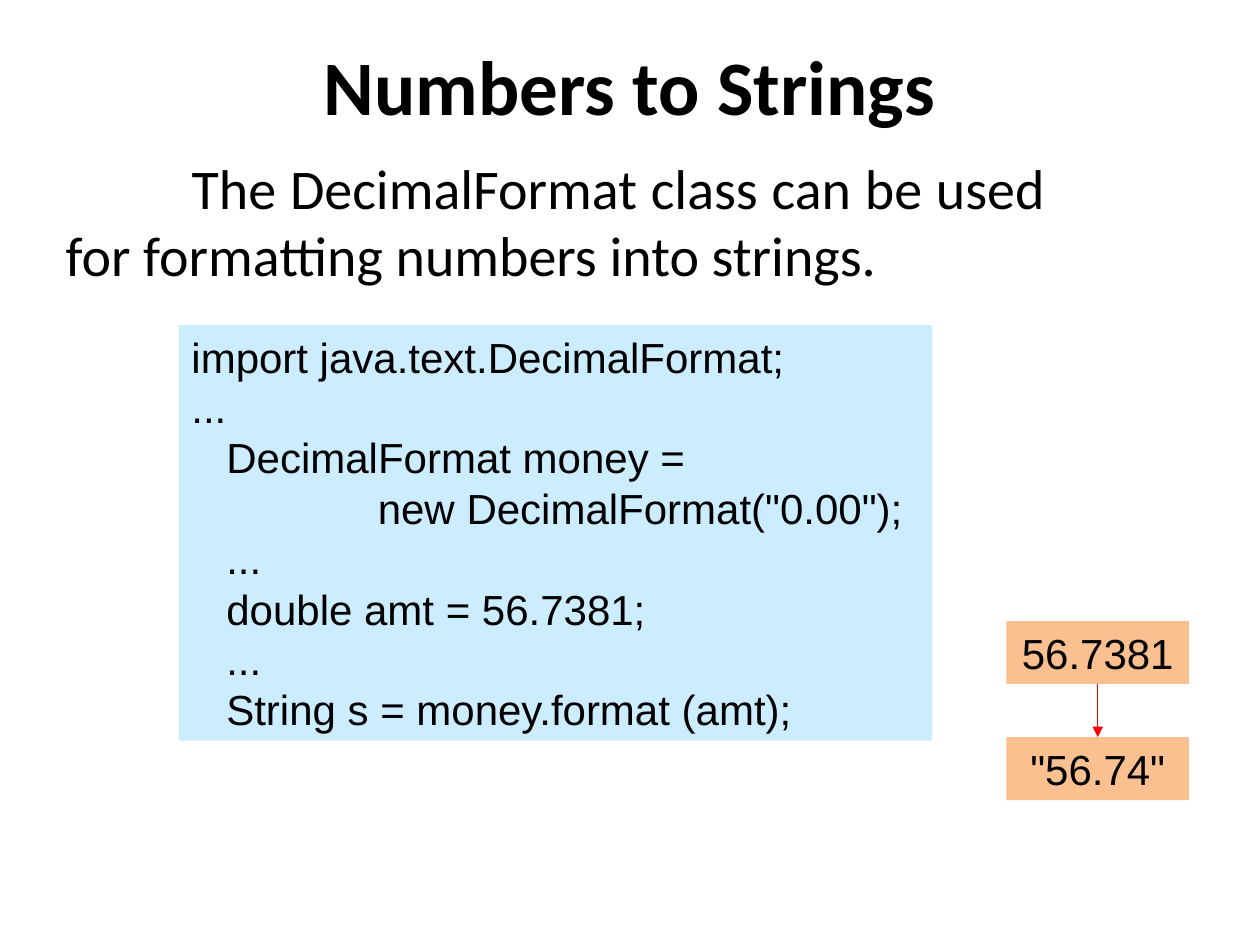
from dataclasses import dataclass
from typing import Any

from lxml.etree import SubElement
from pptx import Presentation
from pptx.dml.color import RGBColor
from pptx.enum.shapes import MSO_CONNECTOR as Connector, MSO_SHAPE as Preset
from pptx.enum.text import MSO_ANCHOR as Anchor, PP_ALIGN as Align
from pptx.oxml.ns import qn
from pptx.util import Cm, Pt


@dataclass(frozen=True)
class Theme:
    text: RGBColor = RGBColor(0, 0, 0)
    code_fill: RGBColor = RGBColor(0xCC, 0xEC, 0xFF)
    value_fill: RGBColor = RGBColor(0xFA, 0xC0, 0x90)
    arrow: RGBColor = RGBColor(0xFF, 0, 0)
    heading_font: str = "Calibri"
    code_font: str = "Arial"
    title_size: Pt = Pt(44)
    body_size: Pt = Pt(32)
    code_size: Pt = Pt(24)
    code_leading: Pt = Pt(28.8)


@dataclass(frozen=True)
class Panel:
    lines: tuple[str, ...]
    left: float
    top: float
    width: float
    height: float
    fill: RGBColor
    align: Align


THEME = Theme()
CODE = (
    "import java.text.DecimalFormat;",
    "...",
    "   DecimalFormat money =",
    '                new DecimalFormat("0.00");',
    "   ...",
    "   double amt = 56.7381;",
    "   ...",
    "   String s = money.format (amt);",
)
CODE_PANEL = Panel(CODE, 3.61, 6.55, 15.19, 8.38, THEME.code_fill, Align.LEFT)
VALUE_PANELS = [
    Panel((value,), 20.29, top, 3.68, 1.27, THEME.value_fill, Align.CENTER)
    for value, top in (("56.7381", 12.52), ('"56.74"', 14.86))
]


def apply_format(target: Any, values: dict[str, Any]) -> None:
    for name, value in values.items():
        setattr(target, name, value)


def format_font(font: Any, name: str, size: Pt, bold: bool = False) -> None:
    apply_format(font, {"name": name, "size": size, "bold": bold})
    font.color.rgb = THEME.text


def place(shape: Any, left: float, top: float, width: float, height: float) -> None:
    apply_format(shape, {"left": Cm(left), "top": Cm(top),
                         "width": Cm(width), "height": Cm(height)})


def fill_title(shape: Any) -> None:
    place(shape, 0, 0.43, 25.4, 2.54)
    frame = shape.text_frame
    frame.text = "Numbers to Strings"
    frame.vertical_anchor = Anchor.MIDDLE
    paragraph = frame.paragraphs[0]
    paragraph.alignment = Align.CENTER
    format_font(paragraph.font, THEME.heading_font, THEME.title_size, bold=True)


def fill_body(shape: Any) -> None:
    """Write the sentence without a bullet, its first line indented."""
    place(shape, 1.07, 2.97, 20.27, 14.4)
    frame = shape.text_frame
    frame.text = ("The DecimalFormat class can be used "
                  "for formatting numbers into strings.")
    paragraph = frame.paragraphs[0]
    apply_format(paragraph, {"alignment": Align.JUSTIFY, "space_before": Pt(0)})
    properties = paragraph._p.get_or_add_pPr()
    properties.set("marL", "0")
    properties.set("indent", str(Cm(2.54)))
    SubElement(properties, qn("a:buNone"))
    format_font(paragraph.font, THEME.heading_font, THEME.body_size)


def add_panel(slide: Any, panel: Panel) -> Any:
    shape = slide.shapes.add_shape(Preset.RECTANGLE, Cm(panel.left), Cm(panel.top),
                                   Cm(panel.width), Cm(panel.height))
    shape.shadow.inherit = False
    shape.fill.solid()
    shape.fill.fore_color.rgb = panel.fill
    shape.line.fill.background()
    frame = shape.text_frame
    apply_format(frame, {"word_wrap": True, "vertical_anchor": Anchor.TOP})
    frame.text = "\n".join(panel.lines)
    for paragraph in frame.paragraphs:
        apply_format(paragraph, {"alignment": panel.align,
                                 "line_spacing": THEME.code_leading})
        format_font(paragraph.font, THEME.code_font, THEME.code_size)
    return shape


def add_down_arrow(slide: Any, upper: Any, lower: Any) -> None:
    arrow = slide.shapes.add_connector(Connector.STRAIGHT, 0, 0, 0, 0)
    arrow.begin_connect(upper, 2)
    arrow.end_connect(lower, 0)
    arrow.line.color.rgb = THEME.arrow
    arrow.line.width = Pt(0.75)
    SubElement(arrow.line._get_or_add_ln(), qn("a:tailEnd"), type="triangle")
    SubElement(arrow._element.spPr, qn("a:effectLst"))


def main() -> None:
    presentation = Presentation()
    apply_format(presentation, {"slide_width": Cm(25.4), "slide_height": Cm(19.05)})
    slide = presentation.slides.add_slide(presentation.slide_layouts[1])
    fill_title(slide.shapes.title)
    fill_body(slide.placeholders[1])
    add_panel(slide, CODE_PANEL)
    number, string = [add_panel(slide, panel) for panel in VALUE_PANELS]
    add_down_arrow(slide, number, string)
    presentation.save("out.pptx")


if __name__ == "__main__":
    main()
